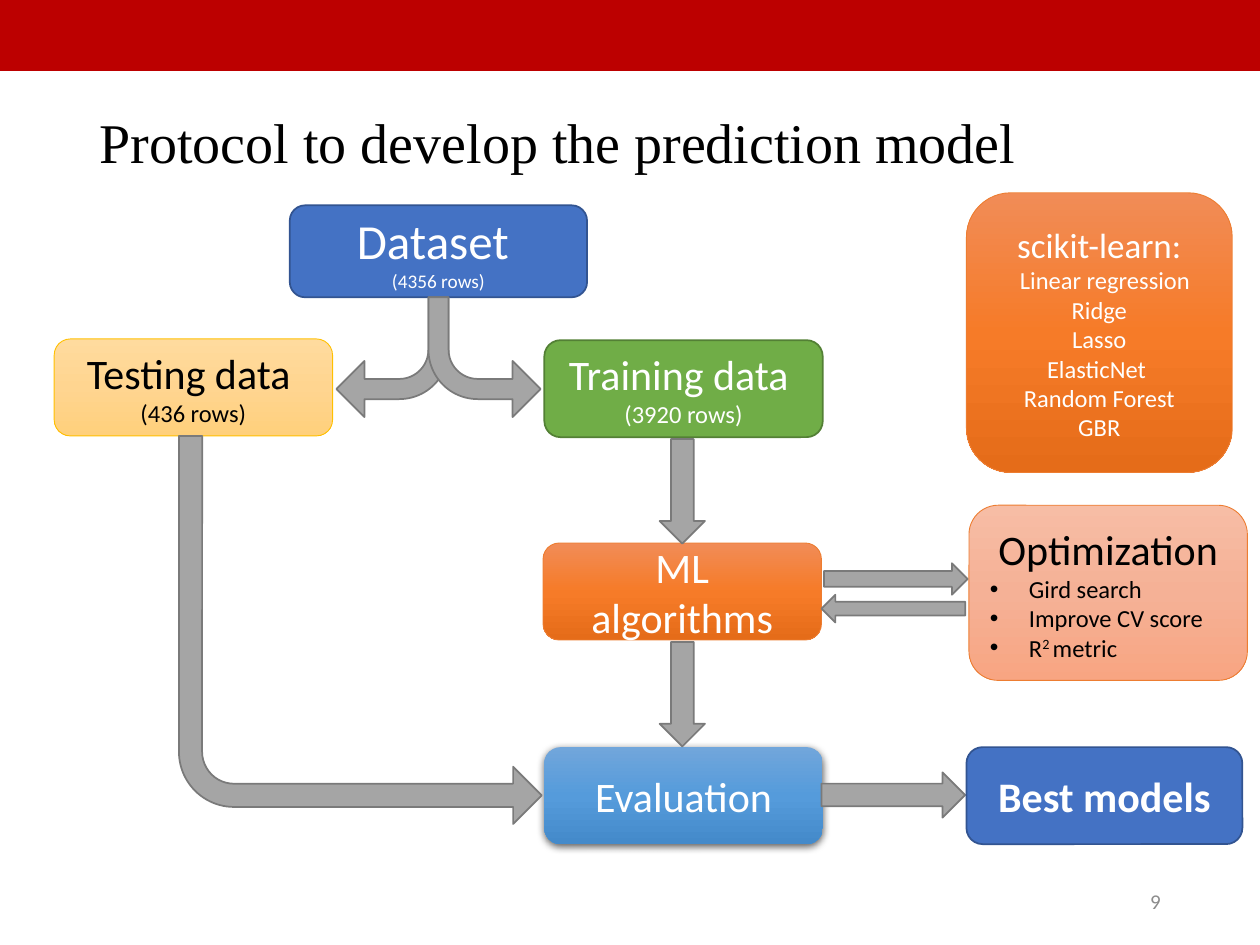
"""Build a slide that shows the protocol for developing a prediction model."""
from copy import deepcopy
from dataclasses import dataclass

from pptx import Presentation, util as u
from pptx.dml.color import RGBColor
from pptx.enum import shapes, text
from pptx.oxml.ns import qn
from lxml import etree

MSO, ALIGN, ANCHOR = shapes.MSO_SHAPE, text.PP_ALIGN, text.MSO_ANCHOR


@dataclass(frozen=True)
class Theme:
    title_font: str = "Times New Roman"
    font: str = "Calibri"
    title: int = 32
    dataset: int = 28
    heading: int = 24
    library: int = 20
    body: int = 14
    small: int = 12
    tiny: int = 11
    white: str = "FFFFFF"
    black: str = "000000"
    grey: str = "8C8C8C"
    banner: str = "BC0000"
    blue: tuple = ("4472C4",)
    blue_line: str = "325491"
    green: tuple = ("70AD47",)
    green_line: str = "538035"
    gold: tuple = ("FFDB9E", "FFD590", "FFD07C")
    gold_line: str = "FFC000"
    orange: tuple = ("F18C57", "F67B28", "E56C19")
    peach: tuple = ("F7BDA5", "F5B196", "F8A582")
    orange_line: str = "ED7D31"
    sky: tuple = ("71A6DB", "559BDB", "448ACA")
    arrow: tuple = ("A5A5A5",)
    arrow_line: str = "7A7A7A"


class SlideBuilder:
    def __init__(self, slide, theme):
        self.slide, self.theme = slide, theme

    def title(self, words, at):
        sp = self.slide.shapes.title
        sp.left, sp.top, sp.width, sp.height = map(u.Inches, at)
        tf = sp.text_frame
        tf.text = words
        tf.vertical_anchor = ANCHOR.MIDDLE
        p = tf.paragraphs[0]
        p.alignment, p.line_spacing = ALIGN.LEFT, 0.9
        self.format_run(p.runs[0], self.theme.title, self.theme.black, font=self.theme.title_font)

    def format_run(self, r, size, color, bold=False, font=None):
        r.font.name = font or self.theme.font
        r.font.size, r.font.bold = u.Pt(size), bold
        r.font.color.rgb = RGBColor.from_string(color)

    def paint(self, sp, colors, line, weight):
        sp.shadow.inherit = False
        if len(colors) == 1:
            sp.fill.solid()
            sp.fill.fore_color.rgb = RGBColor.from_string(colors[0])
        else:
            sp.fill.gradient()
            sp.fill.gradient_angle = 270
            stops = sp._element.spPr.find(".//" + qn("a:gsLst"))
            stops.append(deepcopy(stops[0]))
            for i, (stop, color) in enumerate(zip(sp.fill.gradient_stops, colors)):
                stop.position = i / (len(colors) - 1)
                stop.color.rgb = RGBColor.from_string(color)
        if line:
            sp.line.color.rgb = RGBColor.from_string(line)
            sp.line.width = u.Pt(weight)
        else:
            sp.line.fill.background()

    def shape(self, kind, at, colors, line, weight=1.0):
        sp = self.slide.shapes.add_shape(kind, *map(u.Inches, at))
        self.paint(sp, colors, line, weight)
        return sp

    def box(self, at, colors, line, lines, color=None, weight=1.0, bold=False):
        sp = self.shape(MSO.ROUNDED_RECTANGLE, at, colors, line, weight)
        tf = sp.text_frame
        tf.word_wrap, tf.vertical_anchor = True, ANCHOR.MIDDLE
        tf.text = "\n".join(words for words, _ in lines)
        for p, (_, size) in zip(tf.paragraphs, lines):
            p.alignment = ALIGN.CENTER
            for r in p.runs:
                self.format_run(r, size, color or self.theme.white, bold)
        return sp

    def bullet(self, p):
        p.alignment = ALIGN.LEFT
        pPr = p._p.get_or_add_pPr()
        pPr.set("marL", str(u.Inches(0.31)))
        pPr.set("indent", str(-u.Inches(0.31)))
        etree.SubElement(pPr, qn("a:buFont"), typeface="Arial")
        etree.SubElement(pPr, qn("a:buChar"), char="•")

    def superscript(self, p, parts, raised):
        p.text = parts[0]
        for words in parts[1:]:
            p.add_run().text = words
        for i, r in enumerate(p.runs):
            self.format_run(r, self.theme.body, self.theme.black)
            if i == raised:
                r.font._element.set("baseline", "30000")

    def drop_shadow(self, sp):
        effects = sp._element.spPr.find(qn("a:effectLst"))
        shadow = etree.SubElement(effects, qn("a:outerShdw"), blurRad=str(u.Pt(4.5)),
                                  dist=str(u.Pt(1.5)), dir="5400000", rotWithShape="0")
        color = etree.SubElement(shadow, qn("a:srgbClr"), val=self.theme.black)
        etree.SubElement(color, qn("a:alpha"), val="63000")

    def arrow(self, at, rotation=0):
        sp = self.shape(MSO.RIGHT_ARROW, at, self.theme.arrow, self.theme.arrow_line)
        sp.rotation = rotation

    def bent_arrow(self, at, adjustments, rotation=0, flip=None):
        sp = self.shape(MSO.BENT_ARROW, at, self.theme.arrow, self.theme.arrow_line)
        sp.rotation = rotation
        for i, value in enumerate(adjustments):
            sp.adjustments[i] = value
        if flip:
            sp._element.spPr.find(qn("a:xfrm")).set(flip, "1")

    def page_number(self, number, at):
        tf = self.slide.shapes.add_textbox(*map(u.Inches, at)).text_frame
        tf.word_wrap, tf.vertical_anchor = True, ANCHOR.MIDDLE
        tf.text = number
        p = tf.paragraphs[0]
        p.alignment = ALIGN.RIGHT
        self.format_run(p.runs[0], self.theme.small, self.theme.grey)


def main():
    prs = Presentation()
    prs.slide_width, prs.slide_height = u.Inches(10), u.Inches(7.5)
    t = Theme()
    s = SlideBuilder(prs.slides.add_slide(prs.slide_layouts[5]), t)
    mid, wide, high = 4.32, 2.21, 0.77

    s.shape(MSO.RECTANGLE, (0, 0, 10, 0.56), (t.banner,), t.banner)
    s.title("Protocol to develop the prediction model", (0.69, 0.57, 8.62, 1.16))
    s.page_number("9", (7.06, 6.95, 2.25, 0.4))

    s.box((2.3, 1.63, 2.36, 0.73), t.blue, t.blue_line,
          [("Dataset ", t.dataset), ("(4356 rows)", t.tiny)])
    s.box((0.43, 2.69, wide, high), t.gold, t.gold_line,
          [("Testing data ", t.heading), ("(436 rows)", t.body)], t.black, 0.5)
    s.box((mid, 2.7, wide, high), t.green, t.green_line,
          [("Training data ", t.heading), ("(3920 rows)", t.body)])

    split = (0.18, 0.25, 0.25, 0.44)
    s.bent_arrow((2.67, 2.36, 0.89, 0.95), split, 180)
    s.bent_arrow((3.4, 2.36, 0.89, 0.95), split, 180, "flipH")

    s.box((4.31, 4.31, wide, high), t.orange, t.orange_line,
          [("ML algorithms", t.heading)], weight=0.5)
    tuning = s.box((7.69, 4.01, wide, 1.39), t.peach, t.orange_line,
                   [("Optimization", t.heading), ("Gird search", t.body),
                    ("Improve CV score", t.body), ("", t.body)], t.black, 0.5)
    items = tuning.text_frame.paragraphs[1:]
    s.superscript(items[-1], ("R", "2 ", "metric"), 1)
    for p in items:
        s.bullet(p)
    s.drop_shadow(s.box((mid, 5.93, wide, high), t.sky, None, [("Evaluation", t.heading)]))

    s.bent_arrow((1.42, 3.46, 2.88, 3.08), (0.064, 0.079, 0.079, 0.152), flip="flipV")
    for top in (3.72, 5.33):
        s.arrow((5, top, 0.83, 0.36), 90)
    s.arrow((6.54, 4.47, 1.14, 0.25))
    s.arrow((6.52, 4.72, 1.14, 0.22), 180)
    s.arrow((6.52, 6.13, 1.14, 0.36))

    s.box((7.67, 5.93, 2.19, high), t.blue, t.blue_line, [("Best models", t.heading)], bold=True)
    models = ("Linear regression", "Ridge", "Lasso", "ElasticNet ", "Random Forest", "GBR")
    library = s.box((7.67, 1.53, 2.11, 2.22), t.orange, t.orange_line,
                    [("scikit-learn:", t.library)] + [(m, t.body) for m in models], weight=0.5)
    first = library.text_frame.paragraphs[1]
    first._p.get_or_add_pPr().set("marL", str(u.Inches(0.09)))

    prs.save("out.pptx")


if __name__ == "__main__":
    main()
